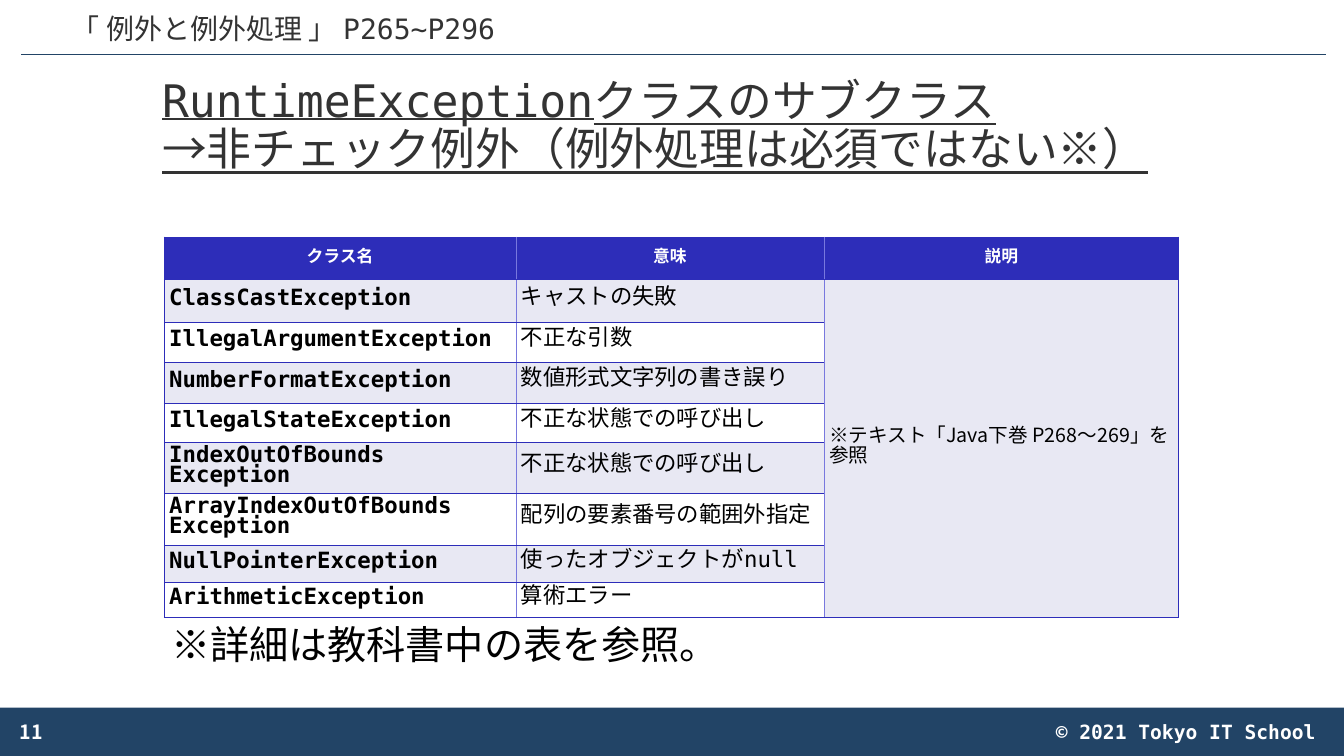
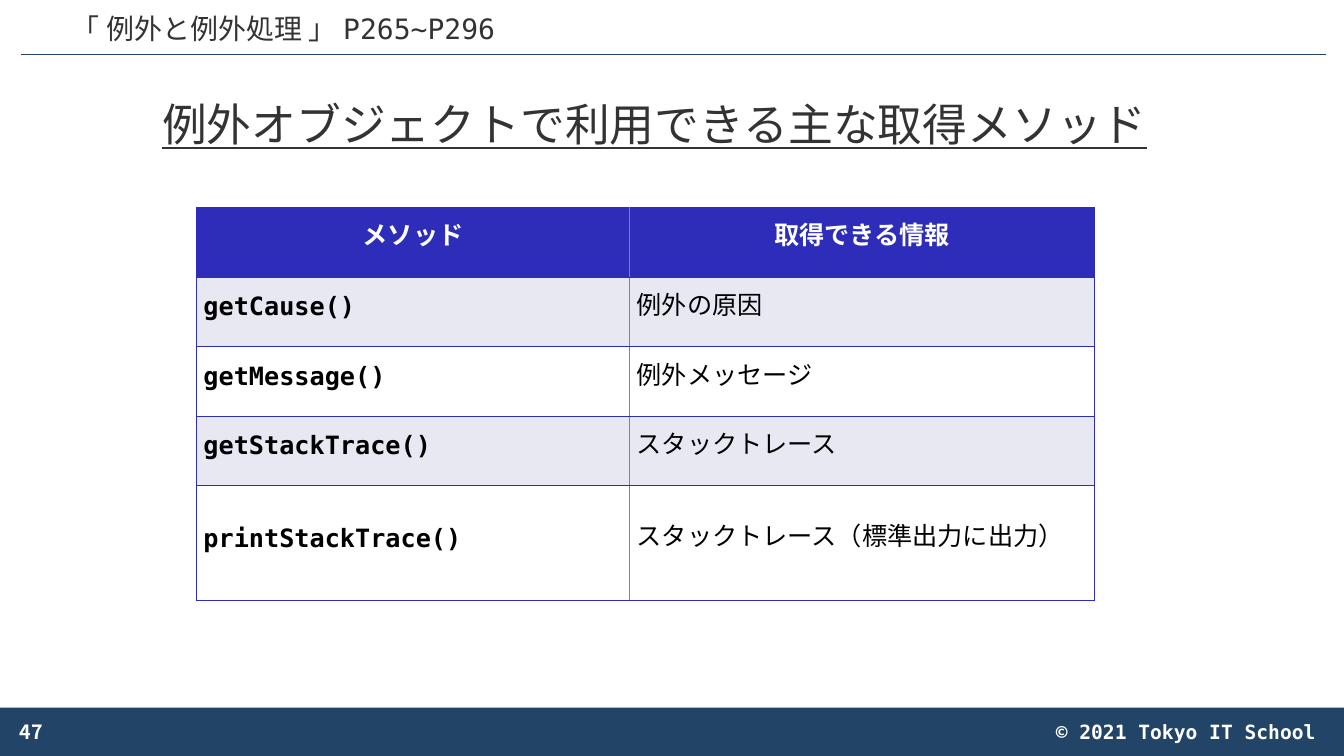
from dataclasses import dataclass

from lxml import etree
from pptx import Presentation
from pptx.dml.color import RGBColor
from pptx.enum.shapes import MSO_CONNECTOR, MSO_SHAPE
from pptx.enum.text import MSO_ANCHOR, PP_ALIGN
from pptx.oxml.ns import qn
from pptx.util import Inches, Pt

RECTANGLE = MSO_SHAPE.RECTANGLE
STRAIGHT = MSO_CONNECTOR.STRAIGHT
TOP, MIDDLE, BOTTOM = MSO_ANCHOR.TOP, MSO_ANCHOR.MIDDLE, MSO_ANCHOR.BOTTOM
LEFT, CENTER, RIGHT = PP_ALIGN.LEFT, PP_ALIGN.CENTER, PP_ALIGN.RIGHT


@dataclass(frozen=True)
class Theme:
    mono: str = "DejaVu Sans Mono"
    sans: str = "Noto Sans CJK JP"
    navy: str = "224466"
    heading: str = "333333"
    black: str = "000000"
    white: str = "FFFFFF"
    header_fill: str = "2D2DB9"
    band_fill: str = "E8E8F3"
    inner_line: str = "7878DE"
    title_size: float = 32
    chapter_size: float = 20
    note_size: float = 28
    footer_size: float = 14
    reference_size: float = 14
    cell_line_spacing: float = 14
    outer_width: float = 0.45
    inner_width: float = 0.34
    rule_width: float = 0.5


THEME = Theme()
SLIDE_WIDTH, SLIDE_HEIGHT = 13.34, 7.5
CHAPTER = "「 例外と例外処理 」 P265~P296"
COPYRIGHT = "© 2021 Tokyo IT School"

EXCEPTION_ROWS = [
    ("クラス名", "意味", "説明"),
    ("ClassCastException", "キャストの失敗", "※テキスト「Java下巻 P268～269」を参照"),
    ("IllegalArgumentException", "不正な引数"),
    ("NumberFormatException", "数値形式文字列の書き誤り"),
    ("IllegalStateException", "不正な状態での呼び出し"),
    ("IndexOutOfBounds Exception", "不正な状態での呼び出し"),
    ("ArrayIndexOutOfBounds Exception", "配列の要素番号の範囲外指定"),
    ("NullPointerException", "使ったオブジェクトがnull"),
    ("ArithmeticException", "算術エラー"),
]
METHOD_ROWS = [
    ("メソッド", "取得できる情報"),
    ("getCause()", "例外の原因"),
    ("getMessage()", "例外メッセージ"),
    ("getStackTrace()", "スタックトレース"),
    ("printStackTrace()", "スタックトレース（標準出力に出力）"),
]


def rgb(color):
    return RGBColor.from_string(color)


def format_paragraph(paragraph, size, color, font=THEME.mono, bold=False,
                     underline=False, align=LEFT, spacing=None):
    paragraph.alignment = align
    if spacing is not None:
        paragraph.line_spacing = spacing
    for run in paragraph.runs:
        run.font.size = Pt(size)
        run.font.bold = bold
        run.font.underline = underline
        run.font.color.rgb = rgb(color)
        run.font.name = font
        east_asian = etree.SubElement(run.font._element, qn("a:ea"))
        east_asian.set("typeface", THEME.sans)


def add_text(slide, box, text, anchor=TOP, **style):
    text_frame = slide.shapes.add_textbox(*map(Inches, box)).text_frame
    text_frame.word_wrap = True
    text_frame.vertical_anchor = anchor
    text_frame.text = text
    format_paragraph(text_frame.paragraphs[0], **style)


def add_title(slide, text):
    add_text(slide, (1.51, 0.68, 10.32, 1.16), text, MIDDLE, size=THEME.title_size,
             color=THEME.heading, underline=True, spacing=0.9)


def add_footer_band(slide):
    band = slide.shapes.add_shape(RECTANGLE, 0, Inches(7.02),
                                  Inches(SLIDE_WIDTH), Inches(0.48))
    band.shadow.inherit = False
    band.fill.solid()
    band.fill.fore_color.rgb = rgb(THEME.navy)
    band.line.fill.background()


def add_header_rule(slide):
    rule = slide.shapes.add_connector(STRAIGHT, Inches(0.21), Inches(0.54),
                                      Inches(13.16), Inches(0.54))
    rule.line.color.rgb = rgb(THEME.navy)
    rule.line.width = Pt(THEME.rule_width)
    etree.SubElement(rule._element.spPr, qn("a:effectLst"))


def add_framed_slide(presentation, number, title):
    """Add a slide with the chapter heading, title, footer and page number."""
    slide = presentation.slides.add_slide(presentation.slide_layouts[6])
    add_footer_band(slide)
    footer = {"size": THEME.footer_size, "color": THEME.white, "bold": True}
    add_text(slide, (8.34, 7.09, 4.82, 0.34), COPYRIGHT, align=RIGHT, **footer)
    add_text(slide, (0.1, 7.06, 3, 0.4), str(number), MIDDLE, font=THEME.sans, **footer)
    add_header_rule(slide)
    add_text(slide, (0, -0.04, 5.63, 0.54), CHAPTER, BOTTOM, size=THEME.chapter_size,
             color=THEME.heading, align=CENTER, spacing=0.9)
    add_title(slide, title)
    return slide


def set_borders(cell, is_first, is_last):
    """Draw strong lines around the table and between rows, light ones between columns."""
    strong = (THEME.header_fill, THEME.outer_width)
    light = (THEME.inner_line, THEME.inner_width)
    edges = {"a:lnL": strong if is_first else light,
             "a:lnR": strong if is_last else light,
             "a:lnT": strong, "a:lnB": strong}
    properties = cell._tc.get_or_add_tcPr()
    for tag, (color, width) in edges.items():
        line = etree.SubElement(properties, qn(tag), w=str(int(Pt(width))))
        fill = etree.SubElement(line, qn("a:solidFill"))
        etree.SubElement(fill, qn("a:srgbClr"), val=color)


def cell_style(row, column, header_size, body_size):
    if row == 0:
        return {"size": header_size, "color": THEME.white, "bold": True, "align": CENTER}
    if column == 2:
        return {"size": THEME.reference_size, "color": THEME.black, "font": THEME.sans}
    return {"size": body_size, "color": THEME.black, "bold": column == 0}


def add_grid(slide, left, top, widths, heights, rows, margin, header_size, body_size):
    """Add a banded table; cells missing at the end of a row stay empty."""
    table = slide.shapes.add_table(
        len(heights), len(widths), Inches(left), Inches(top),
        Inches(sum(widths)), Inches(sum(heights))).table
    table.horz_banding = False
    for column, width in zip(table.columns, widths):
        column.width = Inches(width)
    for row, height in zip(table.rows, heights):
        row.height = Inches(height)
    last = len(widths) - 1
    for row, texts in enumerate(rows):
        fill = THEME.header_fill if row == 0 else (THEME.white, THEME.band_fill)[row % 2]
        for column in range(len(widths)):
            cell = table.cell(row, column)
            set_borders(cell, column == 0, column == last)
            cell.fill.solid()
            cell.fill.fore_color.rgb = rgb(fill)
            cell.vertical_anchor = MIDDLE
            cell.margin_left = cell.margin_right = Inches(margin)
            cell.margin_top = cell.margin_bottom = Inches(0.05)
            if column < len(texts):
                paragraph = cell.text_frame.paragraphs[0]
                paragraph.text = texts[column]
                format_paragraph(paragraph, spacing=Pt(THEME.cell_line_spacing),
                                 **cell_style(row, column, header_size, body_size))
    return table


def add_exception_slide(presentation):
    slide = add_framed_slide(
        presentation, 11,
        "RuntimeExceptionクラスのサブクラス\v→非チェック例外（例外処理は必須ではない※）")
    table = add_grid(slide, 1.63, 2.35, (3.49, 3.06, 3.52),
                     (0.42, 0.43, 0.39, 0.41, 0.39, 0.5, 0.52, 0.37, 0.35),
                     EXCEPTION_ROWS, margin=0.05, header_size=12, body_size=16)
    table.cell(1, 2).merge(table.cell(len(EXCEPTION_ROWS) - 1, 2))
    add_text(slide, (1.6, 6.1, 7.44, 0.57), "※詳細は教科書中の表を参照。",
             size=THEME.note_size, color=THEME.black, font=THEME.sans)


def add_method_slide(presentation):
    slide = add_framed_slide(presentation, 47,
                             "例外オブジェクトで利用できる主な取得メソッド")
    add_grid(slide, 1.95, 2.06, (4.3, 4.61), (0.69, 0.69, 0.69, 0.69, 1.14),
             METHOD_ROWS, margin=0.07, header_size=18, body_size=18)


def main():
    presentation = Presentation()
    presentation.slide_width = Inches(SLIDE_WIDTH)
    presentation.slide_height = Inches(SLIDE_HEIGHT)
    add_exception_slide(presentation)
    add_method_slide(presentation)
    presentation.save("out.pptx")


if __name__ == "__main__":
    main()
